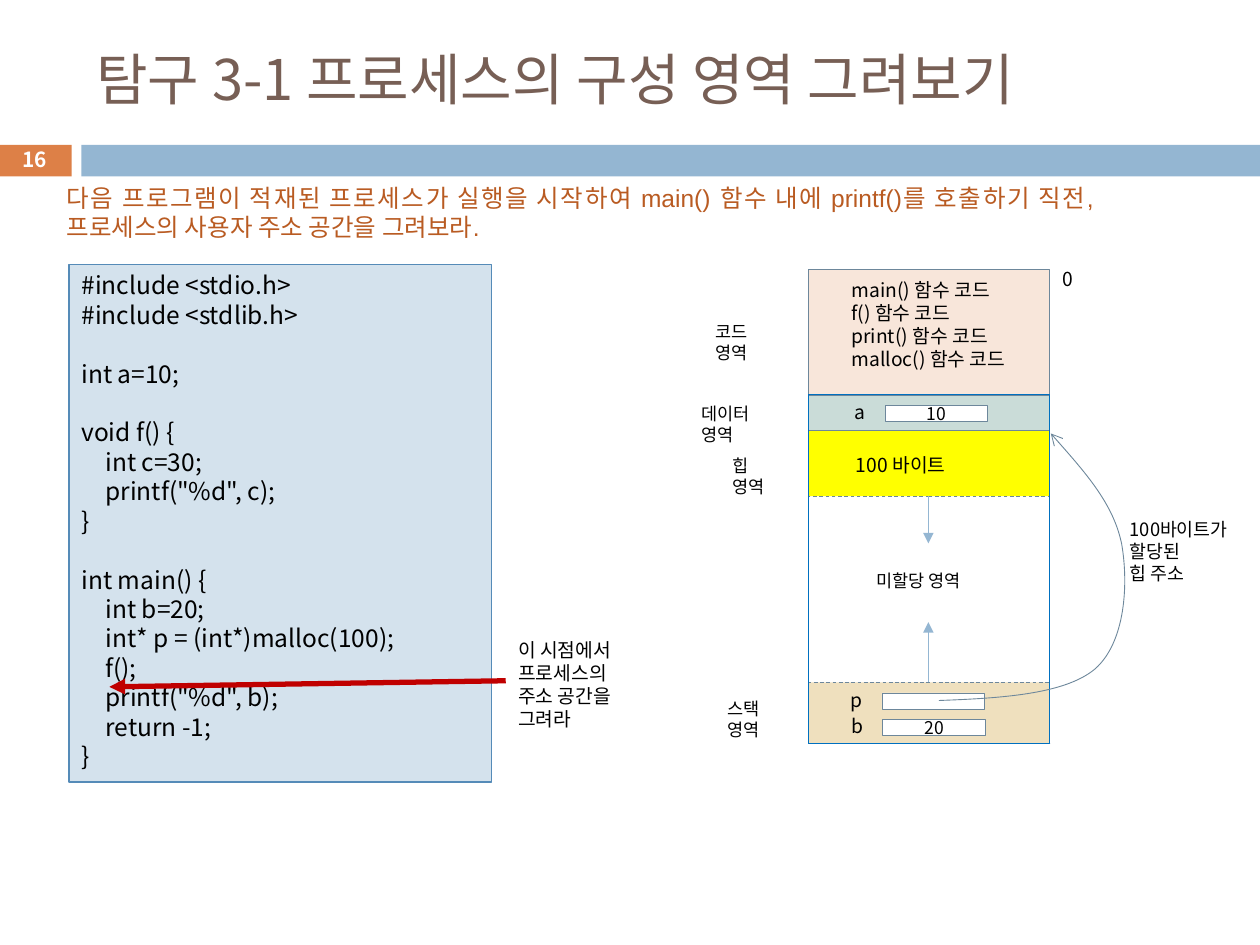
from lxml.etree import SubElement as Sub
from pptx import Presentation
from pptx.dml.color import RGBColor as RGB
from pptx.enum.dml import MSO_LINE_DASH_STYLE as Dash
from pptx.enum.shapes import MSO_CONNECTOR as Conn, MSO_SHAPE as Kind
from pptx.enum.text import MSO_ANCHOR as Anchor, PP_ALIGN as Align
from pptx.oxml.ns import qn
from pptx.util import Pt

SANS = "Noto Sans CJK KR"
EDGE = "6D879B"
MEM_X, MEM_W = 462, 138
TAB = 13.7

CODE = """#include <stdio.h>
#include <stdlib.h>

int a=10;

void f() {
\tint c=30;
\tprintf("%d", c);
}

int main() {
\tint b=20;
\tint* p = (int*)malloc(100);
\tf();
\tprintf("%d", b);
\treturn -1;
}"""


def color(code):
    """Turn a hex string into a colour."""
    return RGB.from_string(code)


def write(shape, text, size, tint="000000", font=SANS, bold=False,
          align=Align.LEFT, anchor=Anchor.TOP):
    """Fill a shape with text, one paragraph a line."""
    frame = shape.text_frame
    frame.word_wrap = True
    frame.vertical_anchor = anchor
    for i, line in enumerate(text.split("\n")):
        para = frame.add_paragraph() if i else frame.paragraphs[0]
        para.alignment = align
        para.line_spacing = Pt(size * 1.2)
        para.font.size = Pt(size)
        if not line:
            continue
        if line.startswith("\t"):
            tabs = Sub(para._p.get_or_add_pPr(), qn("a:tabLst"))
            Sub(tabs, qn("a:tab"), pos=str(Pt(TAB)), algn="l")
            props = para._p.pPr
            props.remove(tabs)
            props.insert_element_before(tabs, "a:defRPr", "a:extLst")
        run = para.add_run()
        run.text = line
        run.font.name = font
        run.font.size = Pt(size)
        run.font.bold = bold
        run.font.color.rgb = color(tint)
        Sub(run._r.get_or_add_rPr(), qn("a:ea"), typeface=SANS)


def label(slide, x, y, w, h, text, size, **style):
    """Add a text box."""
    box = slide.shapes.add_textbox(Pt(x), Pt(y), Pt(w), Pt(h))
    write(box, text, size, **style)
    return box


def rect(slide, x, y, w, h, fill=None, edge=EDGE, width=0.5, dash=False):
    """Add a rectangle with an optional fill and outline."""
    box = slide.shapes.add_shape(Kind.RECTANGLE, Pt(x), Pt(y), Pt(w), Pt(h))
    box.shadow.inherit = False
    if fill:
        box.fill.solid()
        box.fill.fore_color.rgb = color(fill)
    else:
        box.fill.background()
    if edge:
        box.line.color.rgb = color(edge)
        box.line.width = Pt(width)
        if dash:
            box.line.dash_style = Dash.DASH
    else:
        box.line.fill.background()
    return box


def tip(line, tint, width, head):
    """Style a line and put an arrowhead at its end."""
    line.color.rgb = color(tint)
    line.width = Pt(width)
    Sub(line._get_or_add_ln(), qn("a:tailEnd"), type=head)


def arrow(slide, x1, y1, x2, y2, tint, width):
    """Add a straight arrow."""
    link = slide.shapes.add_connector(
        Conn.STRAIGHT, Pt(x1), Pt(y1), Pt(x2), Pt(y2))
    tip(link.line, tint, width, "triangle")
    Sub(link._element.spPr, qn("a:effectLst"))


def curve(slide, start, points):
    """Add an open Bezier curve with an arrowhead; three points a piece."""
    form = slide.shapes.build_freeform(Pt(start[0]), Pt(start[1]))
    form.add_line_segments([(Pt(x), Pt(y)) for x, y in points], close=False)
    shape = form.convert_to_shape()
    shape.shadow.inherit = False
    shape.fill.background()
    tip(shape.line, EDGE, 0.5, "arrow")
    steps = list(shape._element.iter(qn("a:lnTo")))
    for i in range(0, len(steps), 3):
        bend = Sub(steps[i].getparent(), qn("a:cubicBezTo"))
        for step in steps[i:i + 3]:
            bend.append(step[0])
            step.getparent().remove(step)


def cell(slide, x, y, name, value):
    """Add a variable name and the box that holds its value."""
    box = rect(slide, x, y, 58.5, 9.4, "FFFFFF")
    if value:
        write(box, value, 10, align=Align.CENTER, anchor=Anchor.MIDDLE)
    label(slide, x - 25, y - 6.5, 21, 21, name, 11)


def header(slide):
    """Draw the title, the band and the task."""
    rect(slide, -1, 82.8, 42, 18, "DD8047", None)
    rect(slide, 46.5, 82.8, 673.5, 18, "94B6D2", None)
    label(slide, 48, 18, 642, 53, "탐구 3-1 프로세스의 구성 영역 그려보기", 32,
          tint="775F55", anchor=Anchor.MIDDLE)
    label(slide, -1, 81.5, 42, 19.5, "16", 11.9, tint="FFFFFF", bold=True,
          align=Align.CENTER, anchor=Anchor.MIDDLE)
    label(slide, 31, 101, 601, 41,
          "다음 프로그램이 적재된 프로세스가 실행을 시작하여 main() 함수 내에 "
          "printf()를 호출하기 직전, 프로세스의 사용자 주소 공간을 그려보라.",
          14, tint="B95B22", font="Arial", align=Align.JUSTIFY)


def program(slide):
    """Draw the source code and the marked point."""
    write(rect(slide, 39.5, 151, 241.5, 296, "D4E2ED", "558BB8", 0.75),
          CODE, 14)
    arrow(slide, 289, 389, 62.5, 392.5, "C00000", 3)
    label(slide, 289, 361, 78, 60,
          "이 시점에서\n프로세스의\n주소 공간을\n그려라", 11)


def memory(slide):
    """Draw the address space."""
    for y, h, fill, dash in [(390, 35, "EFE0BE", True),
                             (245.5, 38, "FFFF00", True),
                             (154, 72, "F8E6DA", False),
                             (226, 20, "CADCD8", False)]:
        rect(slide, MEM_X, y, MEM_W, h, fill, dash=dash)
    rect(slide, MEM_X, 225.5, MEM_W, 199.5, edge="0070C0")

    for x, y, w, text in [(401.5, 180, 48, "코드 영역"),
                          (393.5, 227, 57, "데이터 영역"),
                          (411.5, 256.5, 40, "힙 영역"),
                          (408.5, 395.5, 48, "스택 영역"),
                          (494, 322, 69, "미할당 영역")]:
        label(slide, x, y, w, 19.5, text, 10)

    for x, y, name, value in [(506, 231.5, "a", "10"),
                              (504.5, 411, "b", "20"),
                              (504, 396, "p", "")]:
        cell(slide, x, y, name, value)

    label(slide, 479.5, 155.5, 117, 60,
          "main() 함수 코드\nf() 함수 코드\nprint() 함수 코드\nmalloc() 함수 코드", 11)
    label(slide, 482, 255.5, 75, 21, "100 바이트", 11)
    label(slide, 600, 149, 21, 21, "0", 11)
    for start, end in [(283.5, 310.5), (390, 355.5)]:
        arrow(slide, 530.5, start, 530.5, end, "94B6D2", 0.79)
    curve(slide, (536.5, 400.3),
          [(572.5, 399), (608.5, 396.7), (625.7, 382.3),
           (643, 367.2), (645, 334), (641, 311),
           (636.5, 288.7), (618.5, 268), (600.5, 247.7)])
    label(slide, 638.5, 292.5, 78.5, 45,
          "100바이트가\n할당된\n힙 주소", 10.5)


def main():
    """Build the slide and save it."""
    deck = Presentation()
    deck.slide_width, deck.slide_height = Pt(720), Pt(540)
    slide = deck.slides.add_slide(deck.slide_layouts[6])
    header(slide)
    program(slide)
    memory(slide)
    deck.save("out.pptx")


main()
